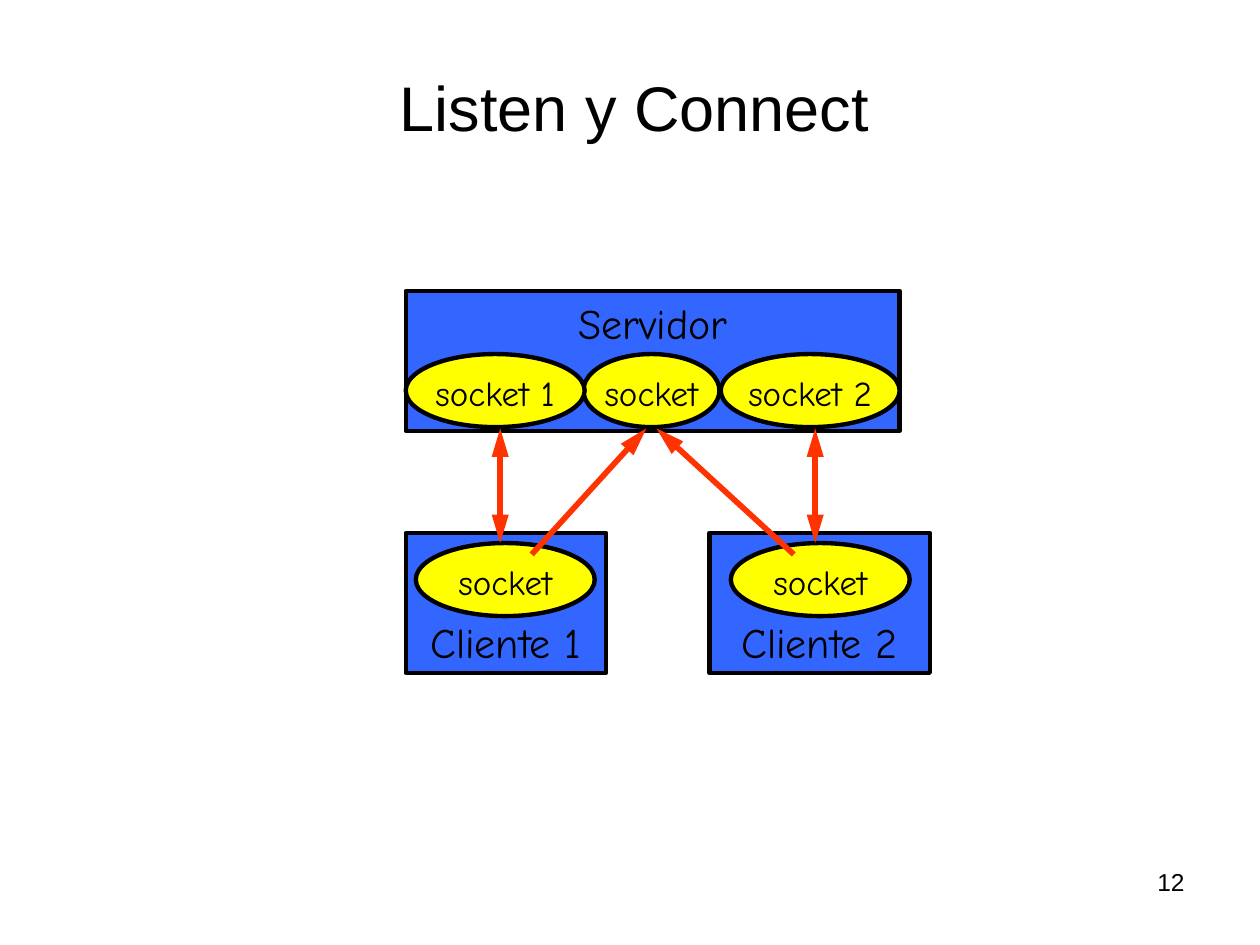
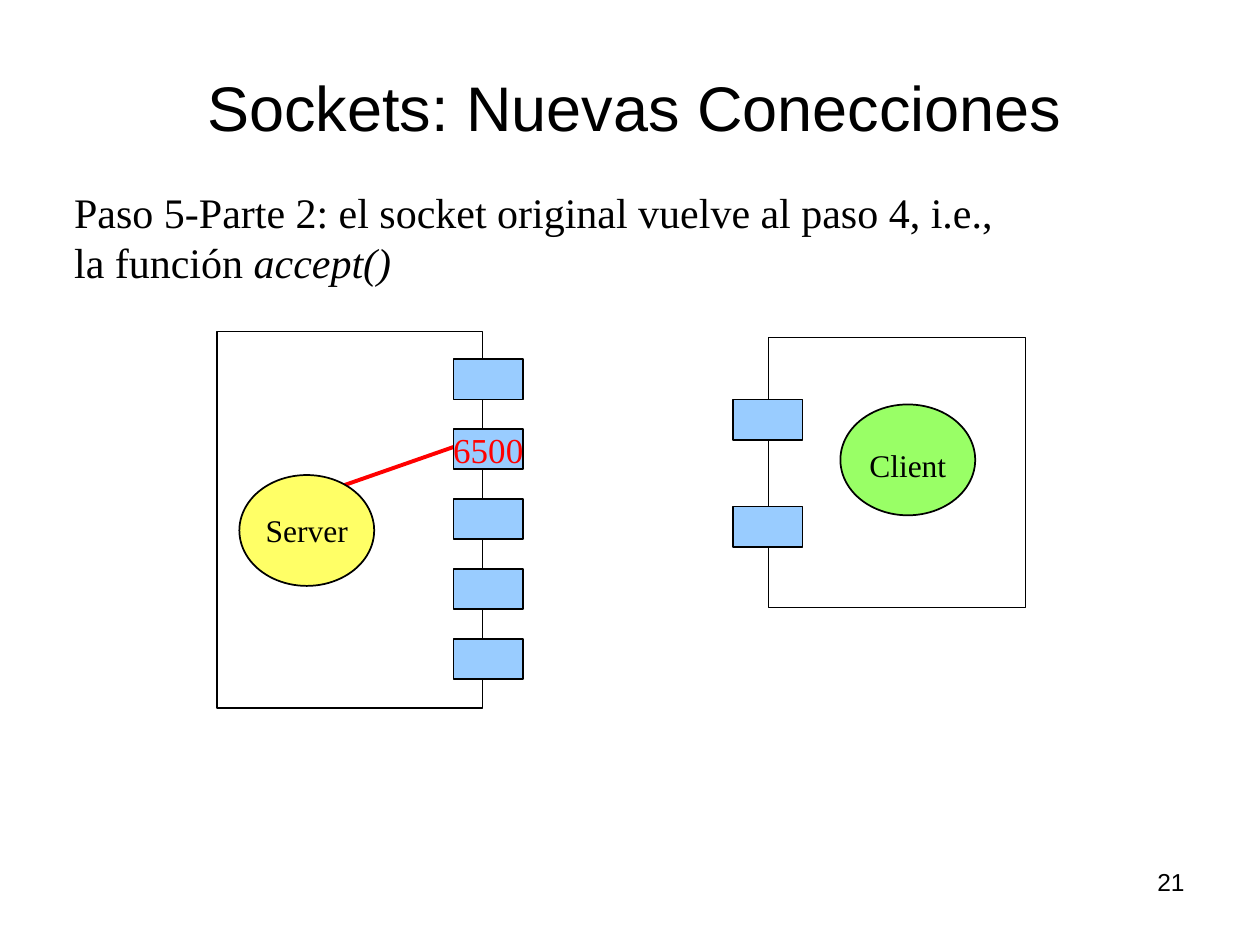
from lxml import etree
from pptx import Presentation
from pptx.dml.color import RGBColor
from pptx.enum import shapes, text
from pptx.oxml import ns
from pptx.util import Inches, Pt

BLACK, WHITE, RED = "000000", "FFFFFF", "FF0000"
HOST_BLUE, SOCKET_YELLOW, ARROW_ORANGE = "3366FF", "FFFF00", "FF3300"
PORT_BLUE, SERVER_YELLOW, CLIENT_GREEN = "99CCFF", "FFFF66", "99FF66"
SANS, SERIF, HAND = "Arial", "Times New Roman", "Comic Neue"
RECTANGLE = shapes.MSO_SHAPE.RECTANGLE
OVAL = shapes.MSO_SHAPE.OVAL
LEFT, CENTER, RIGHT = text.PP_ALIGN.LEFT, text.PP_ALIGN.CENTER, text.PP_ALIGN.RIGHT
TOP, MIDDLE, BOTTOM = text.MSO_ANCHOR.TOP, text.MSO_ANCHOR.MIDDLE, text.MSO_ANCHOR.BOTTOM


def color(hex_string):
    return RGBColor.from_string(hex_string)


# Elements
def write(shape, lines, font=SANS, size=18, fill=BLACK, align=CENTER, anchor=TOP):
    """Fill a shape with lines; each line is a string or (string, italic) pairs."""
    frame = shape.text_frame
    frame.word_wrap = True
    frame.vertical_anchor = anchor
    for index, line in enumerate([lines] if isinstance(lines, str) else lines):
        paragraph = frame.add_paragraph() if index else frame.paragraphs[0]
        paragraph.alignment = align
        for words, italic in [(line, False)] if isinstance(line, str) else line:
            run = paragraph.add_run()
            run.text = words
            run.font.name, run.font.size = font, Pt(size)
            run.font.color.rgb = color(fill)
            run.font.italic = italic


def add_text(slide, lines, left, top, width, height, **style):
    box = slide.shapes.add_textbox(*map(Inches, (left, top, width, height)))
    write(box, lines, **style)


def add_figure(slide, kind, left, top, width, height, fill, weight=1):
    shape = slide.shapes.add_shape(kind, *map(Inches, (left, top, width, height)))
    shape.shadow.inherit = False
    shape.fill.solid()
    shape.fill.fore_color.rgb = color(fill)
    shape.line.color.rgb = color(BLACK)
    shape.line.width = Pt(weight)
    return shape


def add_line(slide, start, end, stroke, weight, arrows=()):
    line = slide.shapes.add_connector(shapes.MSO_CONNECTOR.STRAIGHT,
                                      *map(Inches, start + end))
    line.line.color.rgb = color(stroke)
    line.line.width = Pt(weight)
    outline = line.line._get_or_add_ln()
    for arrow in arrows:
        etree.SubElement(outline, ns.qn("a:" + arrow), type="triangle", len="lg")
    etree.SubElement(outline.getparent(), ns.qn("a:effectLst"))


def add_host(slide, name, left, top, width, anchor):
    host = add_figure(slide, RECTANGLE, left, top, width, 1.11, HOST_BLUE, 2.5)
    write(host, name, font=HAND, size=24, anchor=anchor)


def add_socket(slide, name, left, top, width=1.42):
    add_figure(slide, OVAL, left, top, width, 0.58, SOCKET_YELLOW, 2.5)
    add_text(slide, name, left, top + 0.09, width, 0.44, font=HAND, size=20)


def add_process(slide, name, left, top, fill, label_drop):
    add_figure(slide, OVAL, left, top, 1.07, 0.88, fill)
    add_text(slide, name, left, top + label_drop, 1.07, 0.4, font=SERIF, size=18)


def add_port(slide, left, top):
    add_figure(slide, RECTANGLE, left, top, 0.55, 0.32, PORT_BLUE)


def add_slide(presentation, title, number):
    slide = presentation.slides.add_slide(presentation.slide_layouts[6])
    add_text(slide, title, 0.57, 0.34, 8.93, 1, size=36, anchor=MIDDLE)
    add_text(slide, number, 7.17, 6.83, 2.33, 0.52, size=14, align=RIGHT)
    return slide


# Slides
def build_listen_connect(presentation):
    slide = add_slide(presentation, "Listen y Connect", "12")
    # Server with its listening socket and one socket per client
    add_host(slide, "Servidor", 3.22, 2.31, 3.92, TOP)
    add_socket(slide, "socket", 4.63, 2.81, 1.08)
    add_socket(slide, "socket 1", 3.22, 2.81)
    add_socket(slide, "socket 2", 5.72, 2.81)
    # Clients
    for name, left, width, socket_left in (("Cliente 1", 3.22, 1.59, 3.3),
                                           ("Cliente 2", 5.63, 1.75, 5.8)):
        add_host(slide, name, left, 4.23, width, BOTTOM)
        add_socket(slide, "socket", socket_left, 4.31)
    # Connection requests, then the open channels
    for start_x, end_x, channel_x in ((4.22, 5.13, 3.97), (6.3, 5.21, 6.47)):
        add_line(slide, (start_x, 4.4), (end_x, 3.4), ARROW_ORANGE, 3.25,
                 ["tailEnd"])
        add_line(slide, (channel_x, 3.4), (channel_x, 4.31), ARROW_ORANGE, 3.25,
                 ["headEnd", "tailEnd"])


def build_new_connections(presentation):
    slide = add_slide(presentation, "Sockets: Nuevas Conecciones", "21")
    add_text(slide,
             ["Paso 5-Parte 2: el socket original vuelve al paso 4, i.e.,",
              [("la función ", False), ("accept()", True)]],
             0.49, 1.43, 7.8, 0.9, font=SERIF, size=24, align=LEFT)
    # Server machine
    add_figure(slide, RECTANGLE, 1.72, 2.63, 2.11, 2.99, WHITE)
    add_line(slide, (2.19, 4.04), (3.65, 3.53), RED, 2.25)
    add_process(slide, "Server", 1.9, 3.77, SERVER_YELLOW, 0.24)
    for row in range(5):
        add_port(slide, 3.6, 2.85 + 0.555 * row)
    add_text(slide, "6500", 3.4, 3.35, 0.95, 0.44, font=SERIF, size=20, fill=RED)
    # Client machine
    add_figure(slide, RECTANGLE, 6.1, 2.68, 2.04, 2.14, WHITE, 0.75)
    for top in (3.17, 4.02):
        add_port(slide, 5.82, top)
    add_process(slide, "Client", 6.67, 3.21, CLIENT_GREEN, 0.28)


def main():
    presentation = Presentation()
    presentation.slide_width, presentation.slide_height = Inches(10), Inches(7.5)
    build_listen_connect(presentation)
    build_new_connections(presentation)
    presentation.save("out.pptx")


if __name__ == "__main__":
    main()
